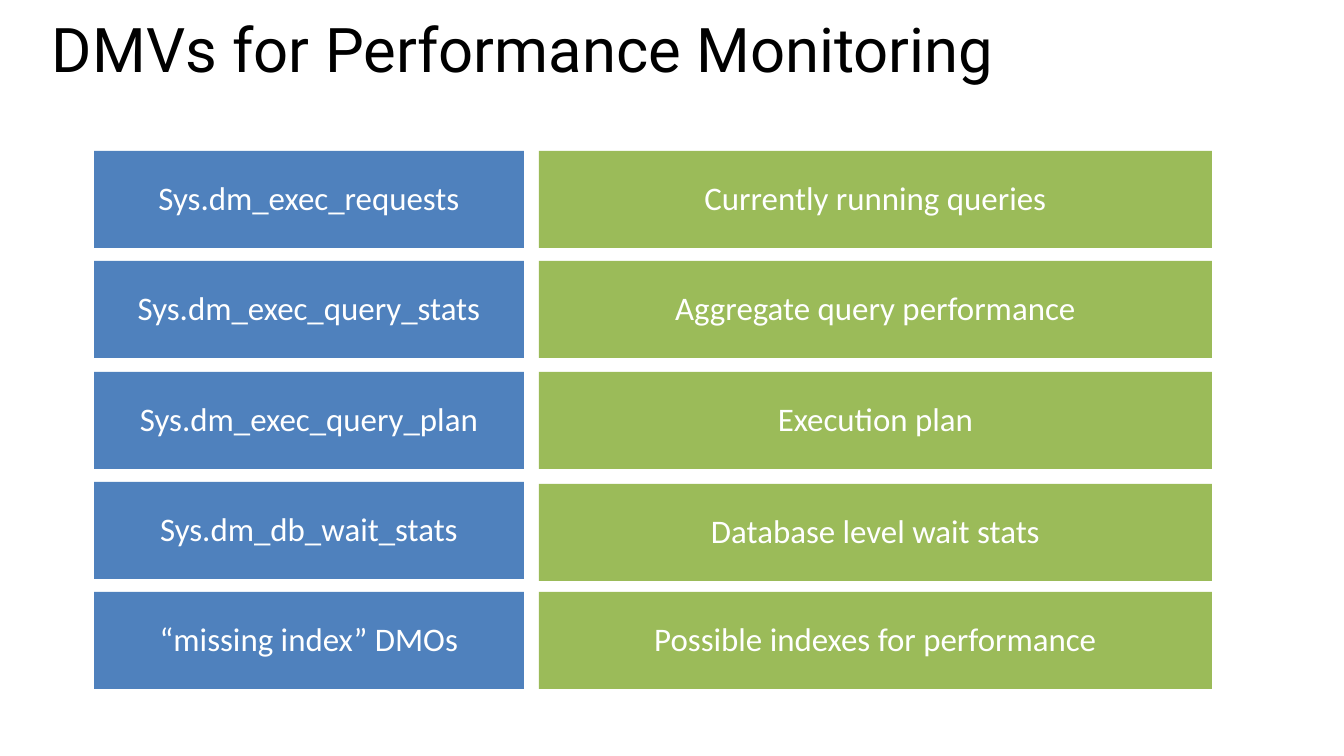
"""Build a slide that pairs monitoring views with what each one shows."""
import pptx
import pptx.dml.color
import pptx.enum.shapes
import pptx.enum.text
import pptx.util

TITLE = "DMVs for Performance Monitoring"
ROWS = [
    ("Sys.dm_exec_requests", "Currently running queries"),
    ("Sys.dm_exec_query_stats", "Aggregate query performance"),
    ("Sys.dm_exec_query_plan", "Execution plan"),
    ("Sys.dm_db_wait_stats", "Database level wait stats"),
    ("“missing index” DMOs", "Possible indexes for performance"),
]
COLUMNS = [
    {"left": 94, "width": 430, "fill": "4F81BD", "nudges": {}},
    {"left": 539, "width": 673, "fill": "9BBB59", "nudges": {3: 2}},
]
FIRST_TOP, LAST_TOP, ROW_HEIGHT = 151, 592, 97


def px(length):
    return round(length * 914400 / 100.8)


def color(value):
    return pptx.dml.color.RGBColor.from_string(value)


def write(box, text, font, size, ink, spacing, margins):
    frame = box.text_frame
    frame.word_wrap = True
    frame.margin_left = frame.margin_right = px(margins[0])
    frame.margin_top = frame.margin_bottom = px(margins[1])
    frame.text = text
    para = frame.paragraphs[0]
    para.line_spacing = spacing
    span = para.runs[0]
    span.font.name = font
    span.font.size = pptx.util.Pt(size)
    span.font.color.rgb = color(ink)
    return frame, para


def add_title(page):
    box = page.shapes.add_textbox(px(42), px(20), px(1270), px(117))
    write(box, TITLE, "Roboto", 44, "000000", 0.8, (10, 5))


def add_tile(page, text, column, top):
    box = page.shapes.add_shape(
        pptx.enum.shapes.MSO_SHAPE.RECTANGLE,
        px(column["left"]), px(top), px(column["width"]), px(ROW_HEIGHT))
    box.shadow.inherit = False
    box.fill.solid()
    box.fill.fore_color.rgb = color(column["fill"])
    box.line.fill.background()
    frame, para = write(box, text, "Calibri", 23.5, "FFFFFF", 0.9, (20, 16))
    frame.vertical_anchor = pptx.enum.text.MSO_ANCHOR.MIDDLE
    para.alignment = pptx.enum.text.PP_ALIGN.CENTER


def main():
    deck = pptx.Presentation()
    deck.slide_width, deck.slide_height = px(1344), px(756)
    page = deck.slides.add_slide(deck.slide_layouts[6])
    add_title(page)
    pitch = (LAST_TOP - FIRST_TOP) / (len(ROWS) - 1)
    for column, texts in zip(COLUMNS, zip(*ROWS)):
        for index, text in enumerate(texts):
            top = round(FIRST_TOP + index * pitch) + column["nudges"].get(index, 0)
            add_tile(page, text, column, top)
    deck.save("out.pptx")


if __name__ == "__main__":
    main()
